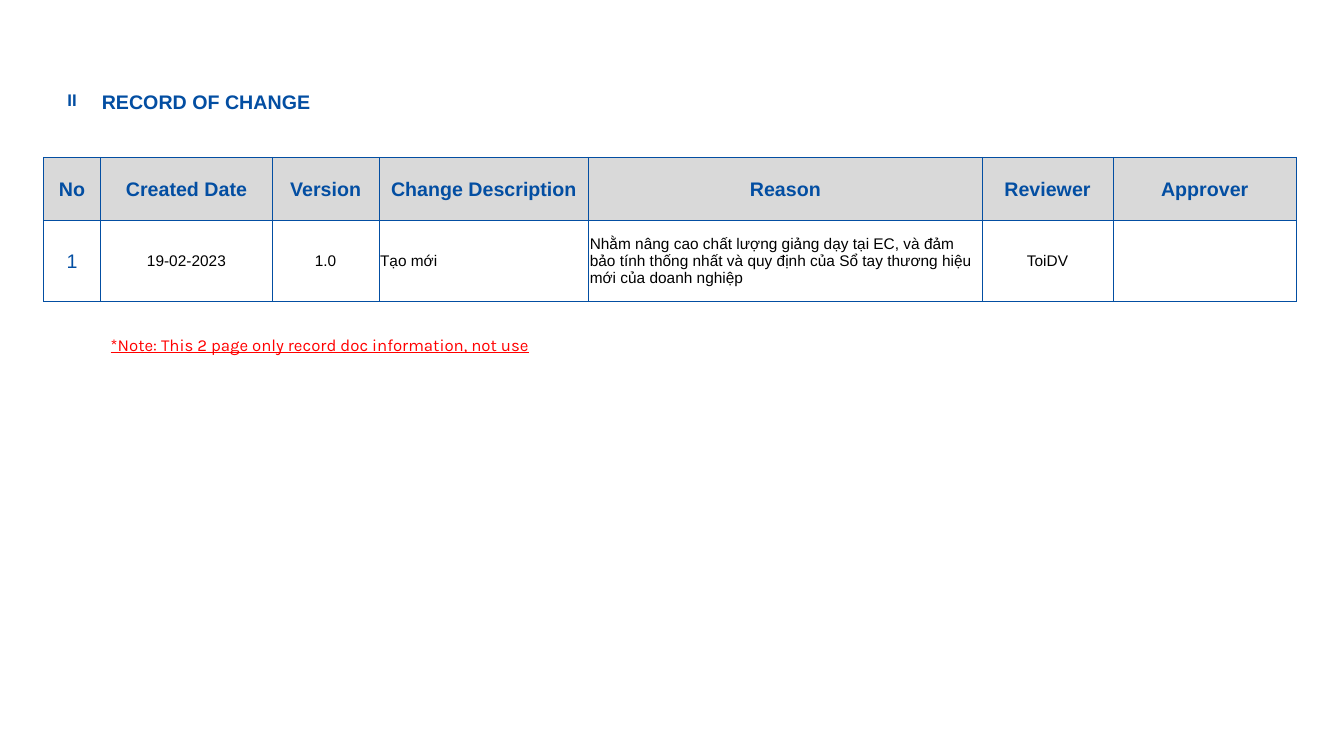
from dataclasses import dataclass

from lxml.etree import SubElement
from pptx import Presentation
from pptx.dml.color import RGBColor as RGB
from pptx.enum.text import MSO_ANCHOR as Anchor, PP_ALIGN as Align
from pptx.oxml.ns import qn
from pptx.util import Inches, Pt


@dataclass(frozen=True)
class Theme:
    blue: str = "034EA2"
    black: str = "000000"
    red: str = "FF0000"
    gray: str = "D9D9D9"
    white: str = "FFFFFF"
    font: str = "Arial"
    accent: str = "Karla"
    head: int = 14
    small: int = 12
    body: int = 11
    blank: int = 8
    line: float = 0.5


T = Theme()

TITLE = ("II", "RECORD OF CHANGE")
HEADS = ("No", "Created Date", "Version", "Change Description", "Reason",
         "Reviewer", "Approver")
ENTRY = ("1", "19-02-2023", "1.0", "Tạo mới",
         "Nhằm nâng cao chất lượng giảng dạy tại EC, và đảm bảo tính thống "
         "nhất và quy định của Sổ tay thương hiệu mới của doanh nghiệp",
         "ToiDV", "")
NOTE = "*Note: This 2 page only record doc information, not use"

COLS = (0.57, 1.7, 1.06, 2.08, 3.9, 1.3, 1.82)
ROWS = (0.42, 0.44, 0.22, 0.63, 0.8)
TITLE_ROW, GAP_ROW, HEAD_ROW, ENTRY_ROW = 1, 2, 3, 4
LEFT_COLS = (3, 4)


def style(para, size, color, bold=False, name=T.font):
    font = para.font
    font.name, font.size, font.bold = name, Pt(size), bold
    font.color.rgb = RGB.from_string(color)


def border(cell, sides):
    """Rule the listed sides in blue and clear the others."""
    props = cell._tc.get_or_add_tcPr()
    for side in "LRTB":
        edge = SubElement(props, qn(f"a:ln{side}"), w=str(Pt(T.line)))
        if side in sides:
            fill = SubElement(edge, qn("a:solidFill"))
            SubElement(fill, qn("a:srgbClr"), val=T.blue)
        else:
            SubElement(edge, qn("a:noFill"))


def write(cell, text, size, color, bold, align):
    para = cell.text_frame.paragraphs[0]
    if text:
        para.text, para.alignment = text, align
        style(para, size, color, bold)
    else:
        SubElement(para._p, qn("a:endParaRPr"), sz=str(T.blank * 100))


def content(row, col):
    """Return text, size, colour, weight and alignment of a cell."""
    if row == TITLE_ROW and col < len(TITLE):
        return (TITLE[col], (T.small, T.head)[col], T.blue, True,
                (Align.CENTER, Align.LEFT)[col])
    if row == HEAD_ROW:
        return HEADS[col], T.head, T.blue, True, Align.CENTER
    if row == ENTRY_ROW:
        size, color = (T.body, T.black) if col else (T.head, T.blue)
        align = Align.LEFT if col in LEFT_COLS else Align.CENTER
        return ENTRY[col], size, color, False, align
    return "", T.blank, T.black, False, Align.LEFT


def add_record(slide):
    frame = slide.shapes.add_table(
        len(ROWS), len(COLS), Inches(0.43), Inches(0.48),
        Inches(sum(COLS)), Inches(sum(ROWS)))
    table = frame.table
    table.first_row = table.horz_banding = False
    for col, width in zip(table.columns, COLS):
        col.width = Inches(width)
    for row, height in zip(table.rows, ROWS):
        row.height = Inches(height)
    for r in range(len(ROWS)):
        for c in range(len(COLS)):
            cell = table.cell(r, c)
            cell.margin_left = cell.margin_right = Inches(0.01)
            cell.margin_top, cell.margin_bottom = Inches(0.01), 0
            ruled = r >= HEAD_ROW
            cell.vertical_anchor = Anchor.MIDDLE if ruled else Anchor.TOP
            border(cell, "LRTB" if ruled else "B" if r == GAP_ROW else "")
            cell.fill.solid()
            shade = T.gray if r == HEAD_ROW else T.white
            cell.fill.fore_color.rgb = RGB.from_string(shade)
            write(cell, *content(r, c))
    table.cell(TITLE_ROW, 1).merge(table.cell(TITLE_ROW, 2))


def add_note(slide):
    box = slide.shapes.add_textbox(
        Inches(1), Inches(3.27), Inches(9.73), Inches(0.61))
    box.text_frame.word_wrap = True
    para = box.text_frame.paragraphs[0]
    para.text = NOTE
    style(para, T.small, T.red, name=T.accent)
    para.font.underline = True


def main():
    deck = Presentation()
    deck.slide_width, deck.slide_height = Inches(13.33), Inches(7.5)
    slide = deck.slides.add_slide(deck.slide_layouts[6])
    add_record(slide)
    add_note(slide)
    deck.save("out.pptx")


if __name__ == "__main__":
    main()
